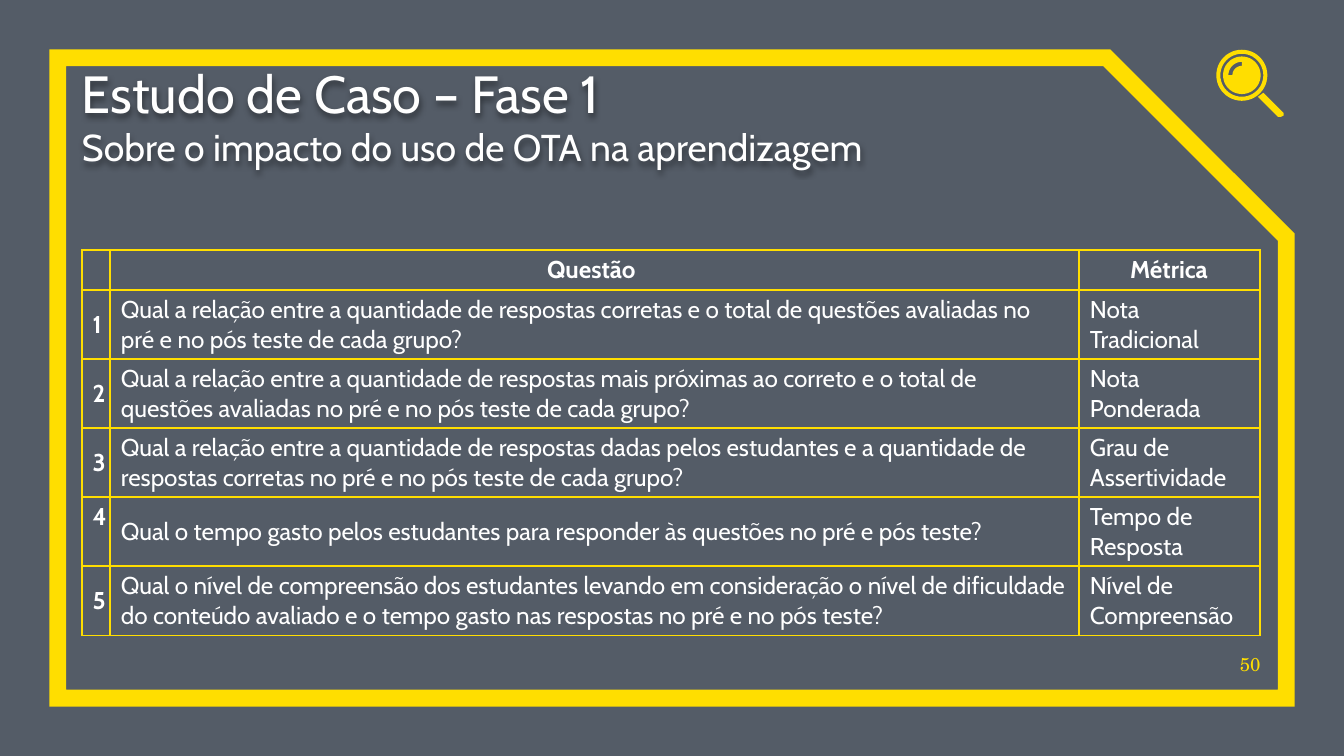
"""Build the case study slide with its questions and metrics tables."""
import math
from typing import NamedTuple

from lxml import etree
from pptx import Presentation
from pptx import util as u
from pptx.dml.color import RGBColor
from pptx.enum import shapes, text
from pptx.oxml import ns

WIDTH = u.Inches(10)
HEIGHT = WIDTH * 9 // 16
YELLOW, WHITE, NAVY = "FFDE00", "FFFFFF", "040F20"
FONT, NUMBER_FONT = "Cabin", "TeX Gyre Schola"
COLUMNS = (2.1, 72.1, 13.45)
HEADER_HEIGHT, ROW_HEIGHT = 5.34, 9.13
TABLE_LEFT, TABLE_TOP = 6.1, 33.04


class Box(NamedTuple):
    """A place on the slide, in percent of its width and height."""
    left: float
    top: float
    width: float
    height: float


class Row(NamedTuple):
    """One table row: number, question and metric."""
    number: str
    question: str
    metric: str


HEADER = Row("", "Questão ", "Métrica")
ROWS = (
    Row("1", "Qual a relação entre a quantidade de respostas corretas e o total de questões "
        "avaliadas no pré e no pós teste de cada grupo?", "Nota Tradicional"),
    Row("2", "Qual a relação entre a quantidade de respostas mais próximas ao correto e o total de "
        "questões avaliadas no pré e no pós teste de cada grupo?", "Nota Ponderada"),
    Row("3", "Qual a relação entre a quantidade de respostas dadas pelos estudantes e a quantidade "
        "de respostas corretas no pré e no pós teste de cada grupo?", "Grau de Assertividade"),
    Row("4 ", "Qual o tempo gasto pelos estudantes para responder às questões no pré e pós teste?",
        "Tempo de Resposta"),
    Row("5", "Qual o nível de compreensão dos estudantes levando em consideração o nível de "
        "dificuldade do conteúdo avaliado e o tempo gasto nas respostas no pré e no pós teste?",
        "Nível de Compreensão"),
)


def across(percent: float) -> int:
    """Turn a share of the slide's width into a length."""
    return round(WIDTH * percent / 100)


def down(percent: float) -> int:
    """Turn a share of the slide's height into a length."""
    return round(HEIGHT * percent / 100)


def place(box: Box) -> tuple[int, int, int, int]:
    """Give left, top, width and height of a box."""
    return across(box.left), down(box.top), across(box.width), down(box.height)


def color(value: str) -> RGBColor:
    """Turn a hex string into a colour."""
    return RGBColor.from_string(value)


def child(parent, tag: str, **attributes: str):
    """Add a DrawingML element to a parent."""
    return etree.SubElement(parent, ns.qn(f"a:{tag}"), **attributes)


def add_run(paragraph, content: str, size: float, fill: str = WHITE, bold: bool = False,
            font: str = FONT) -> None:
    """Add a formatted run."""
    run = paragraph.add_run()
    run.text = content
    run.font.name, run.font.size, run.font.bold = font, u.Pt(size), bold
    run.font.color.rgb = color(fill)


def prepare_frame(frame) -> None:
    """Wrap, anchor at the bottom and remove the insets."""
    frame.word_wrap, frame.auto_size = True, text.MSO_AUTO_SIZE.NONE
    frame.vertical_anchor = text.MSO_ANCHOR.BOTTOM
    frame.margin_left = frame.margin_right = frame.margin_top = frame.margin_bottom = 0


def add_backdrop(slide) -> None:
    """Draw the translucent backdrop and the frame with a cut corner."""
    backdrop = slide.shapes.add_shape(shapes.MSO_SHAPE.RECTANGLE, 0, 0, WIDTH, HEIGHT)
    backdrop.shadow.inherit = False
    backdrop.fill.solid()
    backdrop.fill.fore_color.rgb = color(NAVY)
    child(backdrop._element.spPr.find(".//" + ns.qn("a:srgbClr")), "alpha", val="68000")
    backdrop.line.fill.background()
    frame = slide.shapes.add_shape(shapes.MSO_SHAPE.SNIP_1_RECTANGLE,
                                   *place(Box(4.3, 7.65, 91.4, 84.7)))
    frame.adjustments[0] = 0.28
    frame.shadow.inherit = False
    frame.fill.background()
    frame.line.color.rgb = color(YELLOW)
    frame.line.width = u.Pt(9)
    child(frame._element.spPr.find(ns.qn("a:ln")), "miter", lim="800000")


def add_title(slide) -> None:
    """Fill the title placeholder and give it a soft shadow."""
    title = slide.shapes.title
    slide.shapes._spTree.append(title._element)
    title.left, title.top, title.width, title.height = place(Box(6.1, 8.25, 75.7, 14.06))
    prepare_frame(title.text_frame)
    paragraph = title.text_frame.paragraphs[0]
    paragraph.alignment = text.PP_ALIGN.LEFT
    add_run(paragraph, "Estudo de Caso – Fase 1", 28)
    paragraph.add_line_break()
    add_run(paragraph, "Sobre o impacto do uso de OTA na aprendizagem", 20)
    title.shadow.inherit = False
    effects = title._element.spPr.find(ns.qn("a:effectLst"))
    shadow = child(effects, "outerShdw", blurRad="38100", dist="25400", dir="5400000")
    child(child(shadow, "srgbClr", val="000000"), "alpha", val="43000")


def add_number(slide) -> None:
    """Write the slide number."""
    frame = slide.shapes.add_textbox(*place(Box(91.1, 84.34, 2.7, 4.98))).text_frame
    prepare_frame(frame)
    frame.paragraphs[0].alignment = text.PP_ALIGN.RIGHT
    add_run(frame.paragraphs[0], "50", 10, YELLOW, font=NUMBER_FONT)


def arc(radius: float, start: int = 0, end: int = 360) -> list[tuple[float, float]]:
    """Give points in inches along an arc around the lens centre."""
    count = 48 if end - start == 360 else 12
    angles = (math.radians(start + (end - start) * i / count) for i in range(count + 1))
    return [(9.24 + radius * math.cos(a), 0.56 + radius * math.sin(a)) for a in angles]


def add_outline(group, *contours: list[tuple[float, float]]) -> None:
    """Draw a yellow outline, later contours cutting holes."""
    scaled = [[(u.Inches(x), u.Inches(y)) for x, y in contour] for contour in contours]
    builder = group.shapes.build_freeform(*scaled[0][0])
    for index, contour in enumerate(scaled):
        if index:
            builder.move_to(*contour[0])
        builder.add_line_segments(contour[1:], close=True)
    shape = builder.convert_to_shape()
    shape.shadow.inherit = False
    shape.fill.solid()
    shape.fill.fore_color.rgb = color(YELLOW)
    shape.line.fill.background()


def add_magnifier(slide) -> None:
    """Draw the magnifying glass: ring, lens with a glint, and handle."""
    group = slide.shapes.add_group_shape()
    add_outline(group, arc(0.19), arc(0.16)[::-1])
    add_outline(group, arc(0.14), arc(0.1, 180, 270)[::-1] + arc(0.07, 180, 270))
    add_outline(group, [(9.4, 0.69), (9.36, 0.72), (9.51, 0.87), (9.53, 0.87),
                        (9.55, 0.86), (9.55, 0.84)])


def fill_cell(cell, content: str, centered: bool, bold: bool) -> None:
    """Write a cell and draw its borders."""
    cell.vertical_anchor = text.MSO_ANCHOR.MIDDLE
    cell.margin_left, cell.margin_right = u.Inches(0.08), u.Inches(0.09)
    cell.margin_top = cell.margin_bottom = u.Inches(0.04)
    paragraph = cell.text_frame.paragraphs[0]
    paragraph.alignment = text.PP_ALIGN.CENTER if centered else text.PP_ALIGN.LEFT
    if content:
        add_run(paragraph, content, 13, bold=bold)
    else:
        child(paragraph._p, "endParaRPr", sz="1300")
    properties = cell._tc.get_or_add_tcPr()
    for side in ("lnL", "lnR", "lnT", "lnB"):
        border = child(properties, side, w=str(u.Pt(1)))
        child(child(border, "solidFill"), "srgbClr", val=YELLOW)
    cell.fill.background()


def add_question_table(slide, top: float, rows: list[Row]) -> None:
    """Add one table of rows, the header among them if present."""
    heights = [HEADER_HEIGHT if row is HEADER else ROW_HEIGHT for row in rows]
    box = Box(TABLE_LEFT, top, sum(COLUMNS), sum(heights))
    table = slide.shapes.add_table(len(rows), len(COLUMNS), *place(box)).table
    table.first_row = table.horz_banding = False
    for column, width in zip(table.columns, COLUMNS):
        column.width = across(width)
    for i, row in enumerate(rows):
        table.rows[i].height = down(heights[i])
        for j, content in enumerate(row):
            strong = row is HEADER or j == 0
            fill_cell(table.cell(i, j), content, strong, strong)


def main() -> None:
    """Build and save the slide."""
    presentation = Presentation()
    presentation.slide_width, presentation.slide_height = WIDTH, HEIGHT
    slide = presentation.slides.add_slide(presentation.slide_layouts[5])
    add_backdrop(slide)
    add_number(slide)
    add_title(slide)
    add_magnifier(slide)
    add_question_table(slide, TABLE_TOP, [HEADER, ROWS[0]])
    for index, row in enumerate(ROWS[1:], 1):
        add_question_table(slide, TABLE_TOP + HEADER_HEIGHT + index * ROW_HEIGHT, [row])
    presentation.save("out.pptx")


if __name__ == "__main__":
    main()
